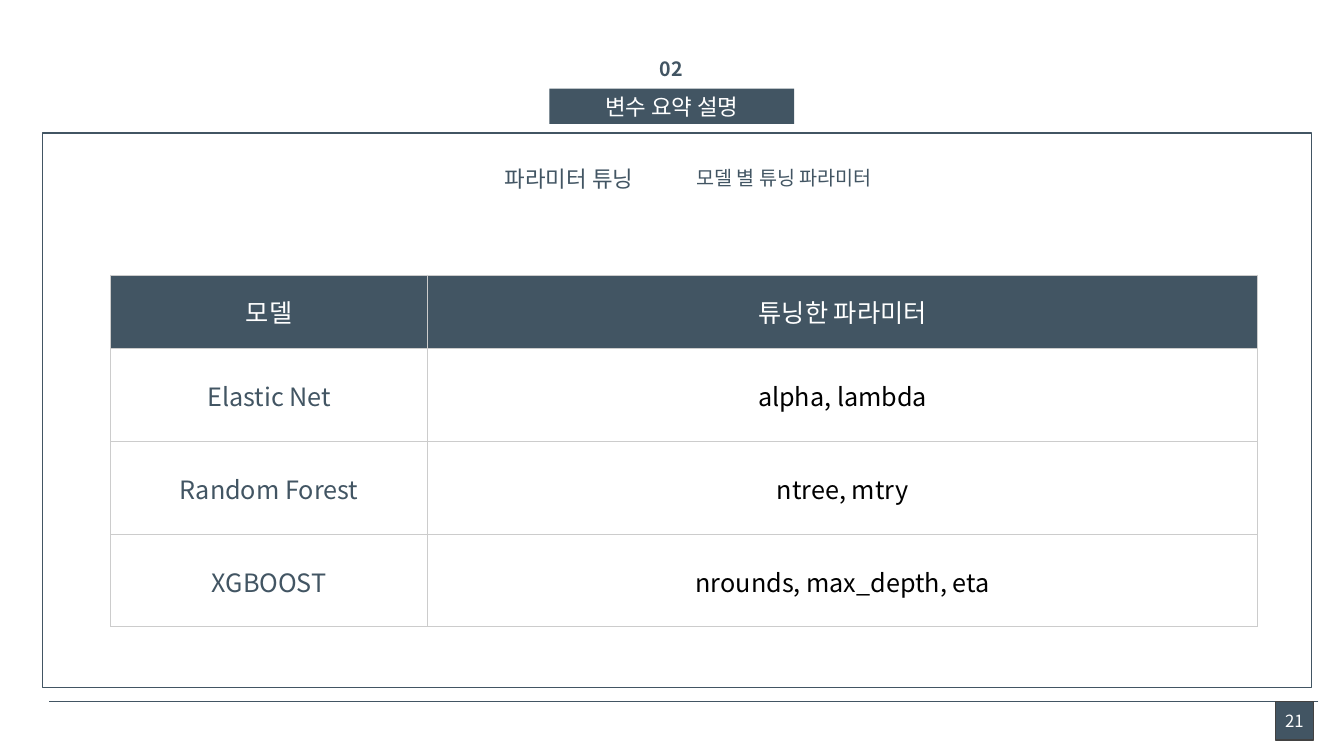
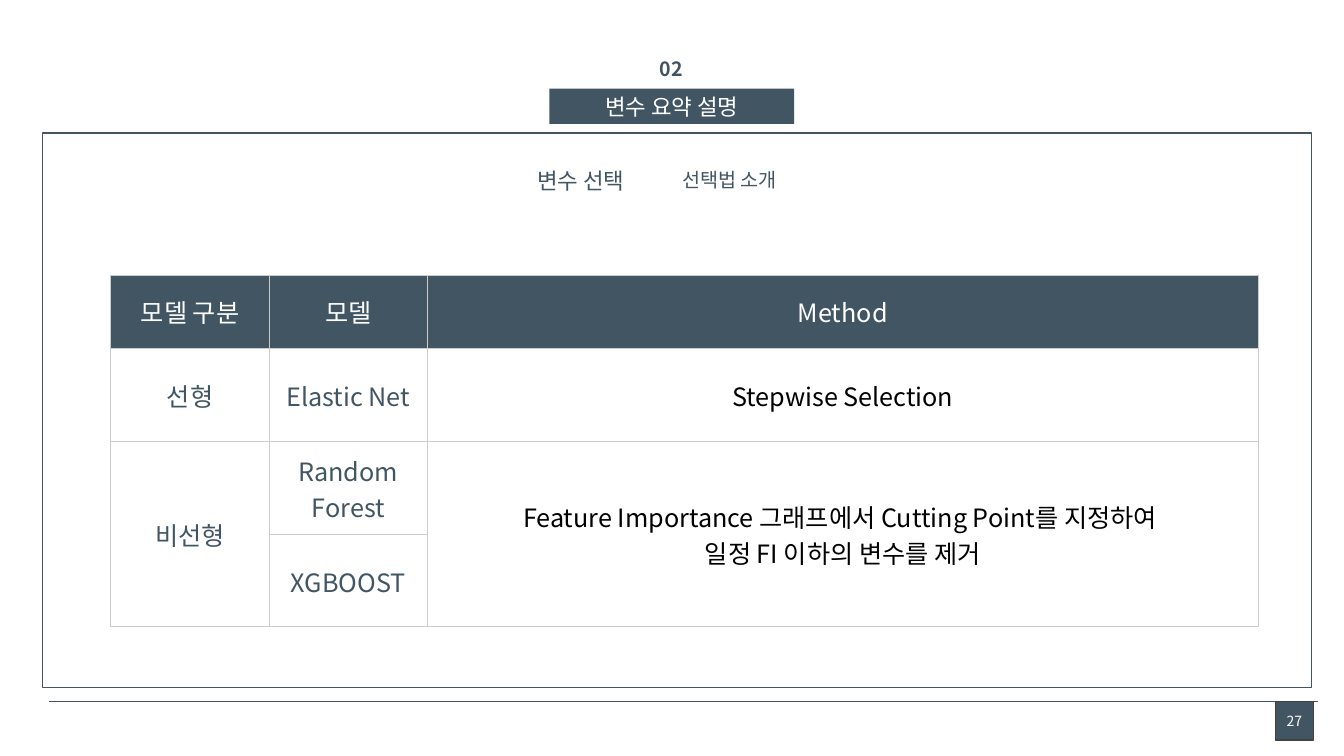
import pptx
import pptx.util
import pptx.dml.color
import pptx.enum.shapes
import pptx.enum.text
import pptx.oxml
import pptx.oxml.ns

RGB = pptx.dml.color.RGBColor
SLATE = RGB(0x42, 0x55, 0x63)
GRAY = RGB(0x42, 0x42, 0x42)
WHITE = RGB(0xFF, 0xFF, 0xFF)
BLACK = RGB(0x00, 0x00, 0x00)
BORDER = "CCCCCC"
FACE = "Noto Sans CJK KR"

WIDE = pptx.util.Inches(13.33)
HIGH = pptx.util.Inches(7.5)
Pt = pptx.util.Pt
Inches = pptx.util.Inches
ALIGN = pptx.enum.text.PP_ALIGN
ANCHOR = pptx.enum.text.MSO_ANCHOR
FIT = pptx.enum.text.MSO_AUTO_SIZE.SHAPE_TO_FIT_TEXT
RECT = pptx.enum.shapes.MSO_SHAPE.RECTANGLE
STRAIGHT = pptx.enum.shapes.MSO_CONNECTOR.STRAIGHT

PAGES = [
    {
        "page": ("21", 12),
        "topic": ("파라미터 튜닝", (36.83, 21.2, 15.45, 4.93)),
        "detail": ("모델 별 튜닝 파라미터", (51.07, 21.33, 21, 4.53)),
        "cols": (23.55, 61.8),
        "rows": [
            ("모델", "튜닝한 파라미터"),
            ("Elastic Net", "alpha, lambda"),
            ("Random Forest", "ntree, mtry"),
            ("XGBOOST", "nrounds, max_depth, eta"),
        ],
    },
    {
        "page": ("27", 10),
        "topic": ("변수 선택", (39.22, 21.47, 15.9, 5.07)),
        "detail": ("선택법 소개", (50.02, 21.6, 25.72, 4.53)),
        "cols": (11.78, 11.78, 61.8),
        "rows": [
            ("모델 구분", "모델", "Method"),
            ("선형", "Elastic Net", "Stepwise Selection"),
            ("비선형", "Random Forest",
             "Feature Importance 그래프에서 Cutting Point를 지정하여 \v일정 FI 이하의 변수를 제거"),
            (None, "XGBOOST", None),
        ],
    },
]


def across(share):
    return round(WIDE * share / 100)


def down(share):
    return round(HIGH * share / 100)


def place(box):
    left, top, width, height = box
    return across(left), down(top), across(width), down(height)


def apply(target, values):
    for name, value in values.items():
        setattr(target, name, value)


def write(frame, text, size, color, align=ALIGN.CENTER, bold=False):
    frame.text = text
    para = frame.paragraphs[0]
    para.alignment = align
    for run in para.runs:
        apply(run.font, {"size": Pt(size), "bold": bold, "name": FACE})
        run.font.color.rgb = color
        east = run.font._element.makeelement(pptx.oxml.ns.qn("a:ea"), {"typeface": FACE})
        run.font._element.append(east)


def label(slide, text, box, size, align=ALIGN.LEFT, bold=False):
    frame = slide.shapes.add_textbox(*place(box)).text_frame
    apply(frame, {"word_wrap": True, "auto_size": FIT})
    write(frame, text, size, SLATE, align, bold)


def panel(slide, box, fill=None, line=None):
    shape = slide.shapes.add_shape(RECT, *place(box))
    shape.shadow.inherit = False
    if fill is None:
        shape.fill.background()
    else:
        shape.fill.solid()
        shape.fill.fore_color.rgb = fill
    if line is None:
        shape.line.fill.background()
    else:
        shape.line.color.rgb = line
        shape.line.width = Pt(1)
    return shape


def badge(slide, text, box, size, line=None, wrap=True):
    frame = panel(slide, box, SLATE, line).text_frame
    apply(frame, {"word_wrap": wrap, "vertical_anchor": ANCHOR.MIDDLE})
    write(frame, text, size, WHITE)


def rule(slide, left, right, top):
    line = slide.shapes.add_connector(
        STRAIGHT, across(right), down(top), across(left), down(top))
    line.line.color.rgb = SLATE
    line.line.width = Pt(0.5)
    props = line._element.spPr
    props.append(props.makeelement(pptx.oxml.ns.qn("a:effectLst"), {}))


def border(cell):
    props = cell._tc.get_or_add_tcPr()
    for side in ("lnL", "lnR", "lnT", "lnB"):
        props.append(pptx.oxml.parse_xml(
            f'<a:{side} {pptx.oxml.ns.nsdecls("a")} w="{Pt(0.75)}"><a:solidFill>'
            f'<a:srgbClr val="{BORDER}"/></a:solidFill></a:{side}>'))


def style(cell, head):
    side, top, base = (0.03, 0.02, 0.02) if head else (0.01, 0.01, 0)
    apply(cell, {
        "vertical_anchor": ANCHOR.MIDDLE,
        "margin_left": Inches(side), "margin_right": Inches(side),
        "margin_top": Inches(top), "margin_bottom": Inches(base),
    })
    border(cell)
    cell.fill.solid()
    cell.fill.fore_color.rgb = SLATE if head else WHITE


def grid(slide, cols, rows):
    highs = [9.73] + [12.27] * (len(rows) - 1)
    box = (8.25, 36.4, sum(cols), sum(highs))
    table = slide.shapes.add_table(len(rows), len(cols), *place(box)).table
    apply(table, {"first_row": False, "horz_banding": False})
    for col, share in zip(table.columns, cols):
        col.width = across(share)
    for row, share in zip(table.rows, highs):
        row.height = down(share)
    for r, texts in enumerate(rows):
        for c, text in enumerate(texts):
            cell = table.cell(r, c)
            style(cell, r == 0)
            if text is None:
                table.cell(r - 1, c).merge(cell)
                continue
            body = BLACK if c == len(cols) - 1 else SLATE
            write(cell.text_frame, text, 18, WHITE if r == 0 else body)


def base(slide, page, size):
    rule(slide, 3.68, 98.1, 92.8)
    panel(slide, (3.15, 17.6, 94.43, 73.33), line=SLATE)
    badge(slide, "변수 요약 설명", (40.87, 11.73, 18.22, 4.67), 16)
    label(slide, "02", (39.22, 6.93, 21.45, 4.53), 14, ALIGN.CENTER, True)
    badge(slide, page, (94.88, 92.8, 2.85, 5.07), size, GRAY, False)


def main():
    deck = pptx.Presentation()
    apply(deck, {"slide_width": WIDE, "slide_height": HIGH})
    for data in PAGES:
        slide = deck.slides.add_slide(deck.slide_layouts[6])
        base(slide, *data["page"])
        grid(slide, data["cols"], data["rows"])
        label(slide, *data["topic"], 16)
        label(slide, *data["detail"], 14)
    deck.save("out.pptx")


if __name__ == "__main__":
    main()
